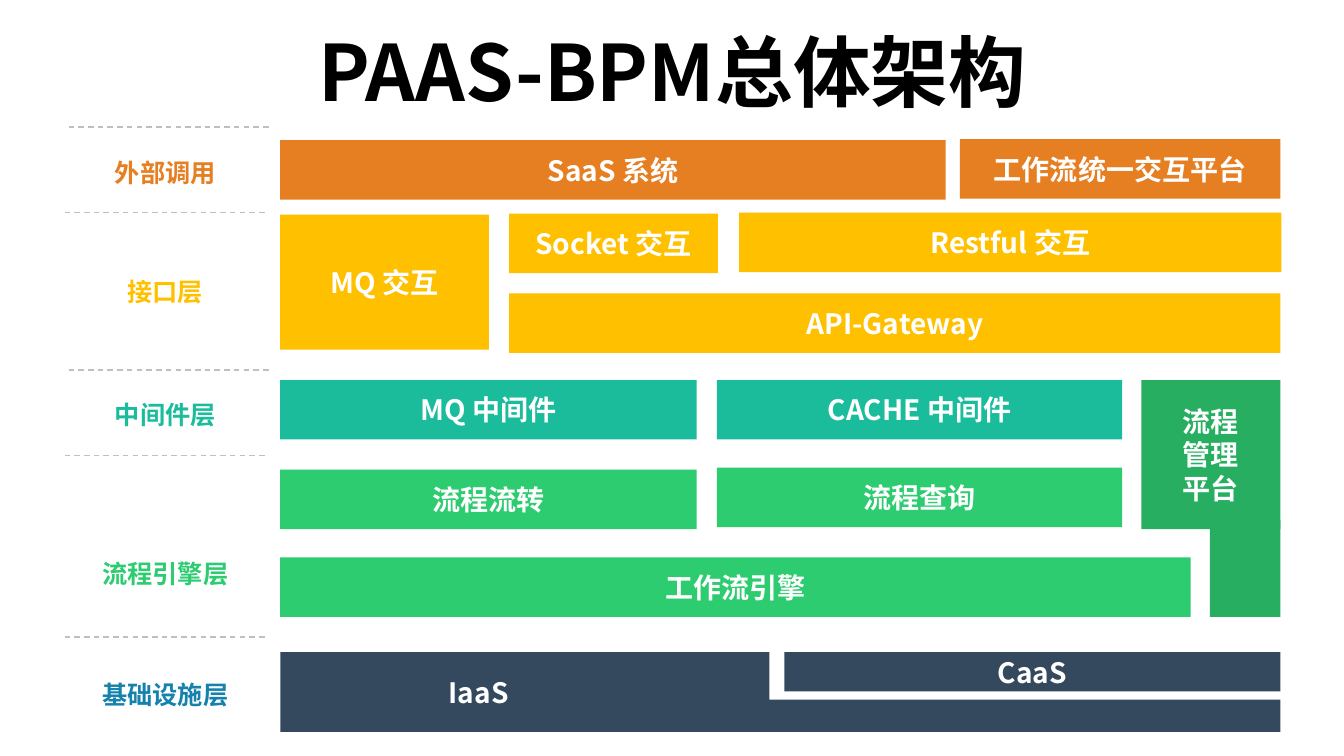
import pptx
import pptx.util
import pptx.dml.color
import pptx.enum.dml
import pptx.enum.shapes
import pptx.enum.text
import pptx.oxml.ns
from dataclasses import dataclass
from lxml import etree

Inches = pptx.util.Inches
ALIGN = pptx.enum.text.PP_ALIGN
ANCHOR = pptx.enum.text.MSO_ANCHOR


@dataclass(frozen=True)
class Theme:
    font: str = "Noto Sans CJK SC"
    title: float = 55.5
    label: float = 18
    block: float = 20
    black: str = "000000"
    white: str = "FFFFFF"
    divider: str = "BFBFBF"
    orange: str = "E67E22"
    yellow: str = "FFC000"
    teal: str = "1ABC9C"
    green: str = "2ECC71"
    dark_green: str = "27AE60"
    blue: str = "1482AC"
    navy: str = "34495E"


theme = Theme()
BAR = 0.59
LABEL_WIDTH = 2.0
BLOCKS_X = 2.14


def rgb(color):
    return pptx.dml.color.RGBColor.from_string(color)


def write(sp, lines, size, color, align=ALIGN.CENTER, anchor=ANCHOR.MIDDLE):
    tf = sp.text_frame
    tf.word_wrap = True
    tf.vertical_anchor = anchor
    p = tf.paragraphs[0]
    p.alignment = align
    for i, line in enumerate(lines.split("\n")):
        if i:
            p.add_line_break()
        r = p.add_run()
        r.text = line
        r.font.size = pptx.util.Pt(size)
        r.font.bold = True
        r.font.name = theme.font
        r.font.color.rgb = rgb(color)
        ea = etree.SubElement(r.font._element, pptx.oxml.ns.qn("a:ea"))
        ea.set("typeface", theme.font)
    return tf


def paint(sp, color):
    sp.shadow.inherit = False
    sp.fill.solid()
    sp.fill.fore_color.rgb = rgb(color)
    sp.line.fill.background()


def add_text(s, box, text, size, color, anchor=ANCHOR.TOP):
    sp = s.shapes.add_textbox(*map(Inches, box))
    return write(sp, text, size, color, anchor=anchor)


def add_block(s, box, color, text=""):
    sp = s.shapes.add_shape(pptx.enum.shapes.MSO_SHAPE.RECTANGLE, *map(Inches, box))
    paint(sp, color)
    if text:
        write(sp, text, theme.block, theme.white)


def add_divider(s, x, y):
    line = s.shapes.add_connector(
        pptx.enum.shapes.MSO_CONNECTOR.STRAIGHT,
        *map(Inches, (x, y, x + LABEL_WIDTH, y)))
    line.line.color.rgb = rgb(theme.divider)
    line.line.width = pptx.util.Pt(1)
    line.line.dash_style = pptx.enum.dml.MSO_LINE.DASH
    etree.SubElement(line._element.spPr, pptx.oxml.ns.qn("a:effectLst"))


def draw_title(s, box):
    tf = add_text(s, box, "PAAS-BPM总体架构", theme.title, theme.black, ANCHOR.BOTTOM)
    tf.paragraphs[0].line_spacing = 0.7


def draw_layer(s, box, label, color, label_y, blocks=(), divider_x=0):
    x, y = box
    add_divider(s, x + divider_x, y)
    add_text(s, (x + 0.14, y + label_y, 1.72, 0.4), label, theme.label, color)
    for text, dx, dy, w, h in blocks:
        add_block(s, (x + BLOCKS_X + dx, y + dy, w, h), color, text)


def draw_infrastructure(s, box):
    x, y, w, h = box
    notch_x, notch_h, caas_w = 4.85, 0.47, 4.92
    outline = [(0, 0), (notch_x, 0), (notch_x, notch_h), (w, notch_h), (w, h), (0, h)]
    points = [(Inches(x + dx), Inches(y + dy)) for dx, dy in outline]
    builder = s.shapes.build_freeform(*points[0], scale=1.0)
    builder.add_line_segments(points[1:], close=True)
    iaas = builder.convert_to_shape()
    paint(iaas, theme.navy)
    tf = write(iaas, "IaaS", theme.block, theme.white, ALIGN.LEFT)
    tf.margin_left = Inches(1.67)
    add_block(s, (x + w - caas_w, y, caas_w, 0.39), theme.navy, "CaaS")


def draw_platform(s, box):
    x, y, w, h = box
    foot_w, foot_h = 0.7, 0.96
    add_block(s, (x, y, w, 1.48), theme.dark_green, "流程\n管理\n平台")
    add_block(s, (x + w - foot_w, y + h - foot_h, foot_w, foot_h), theme.dark_green)


prs = pptx.Presentation()
prs.slide_width = Inches(13.33)
prs.slide_height = Inches(7.5)
s = prs.slides.add_slide(prs.slide_layouts[6])

draw_title(s, (0.92, 0.36, 11.5, 0.83))
draw_layer(s, (0.64, 1.26), "外部调用", theme.orange, 0.25, [
    ("SaaS 系统", 0, 0.13, 6.6, BAR),
    ("工作流统一交互平台", 6.74, 0.12, 3.18, BAR),
], divider_x=0.04)
draw_layer(s, (0.64, 2.11), "接口层", theme.yellow, 0.58, [
    ("MQ 交互", 0, 0.02, 2.07, 1.34),
    ("Socket 交互", 2.27, 0.01, 2.07, BAR),
    ("Restful 交互", 4.55, 0, 5.38, BAR),
    ("API-Gateway", 2.27, 0.8, 7.65, BAR),
])
draw_layer(s, (0.64, 3.67), "中间件层", theme.teal, 0.24, [
    ("MQ 中间件", 0, 0.1, 4.13, BAR),
    ("CACHE 中间件", 4.33, 0.1, 4.02, BAR),
], divider_x=0.04)
draw_layer(s, (0.64, 4.52), "流程引擎层", theme.green, 0.97, [
    ("流程流转", 0, 0.14, 4.13, BAR),
    ("流程查询", 4.33, 0.12, 4.02, BAR),
    ("工作流引擎", 0, 1.01, 9.03, BAR),
])
draw_layer(s, (0.64, 6.32), "基础设施层", theme.blue, 0.37)
draw_infrastructure(s, (2.78, 6.47, 9.92, 0.79))
draw_platform(s, (11.32, 3.77, 1.38, 2.35))

prs.save("out.pptx")
